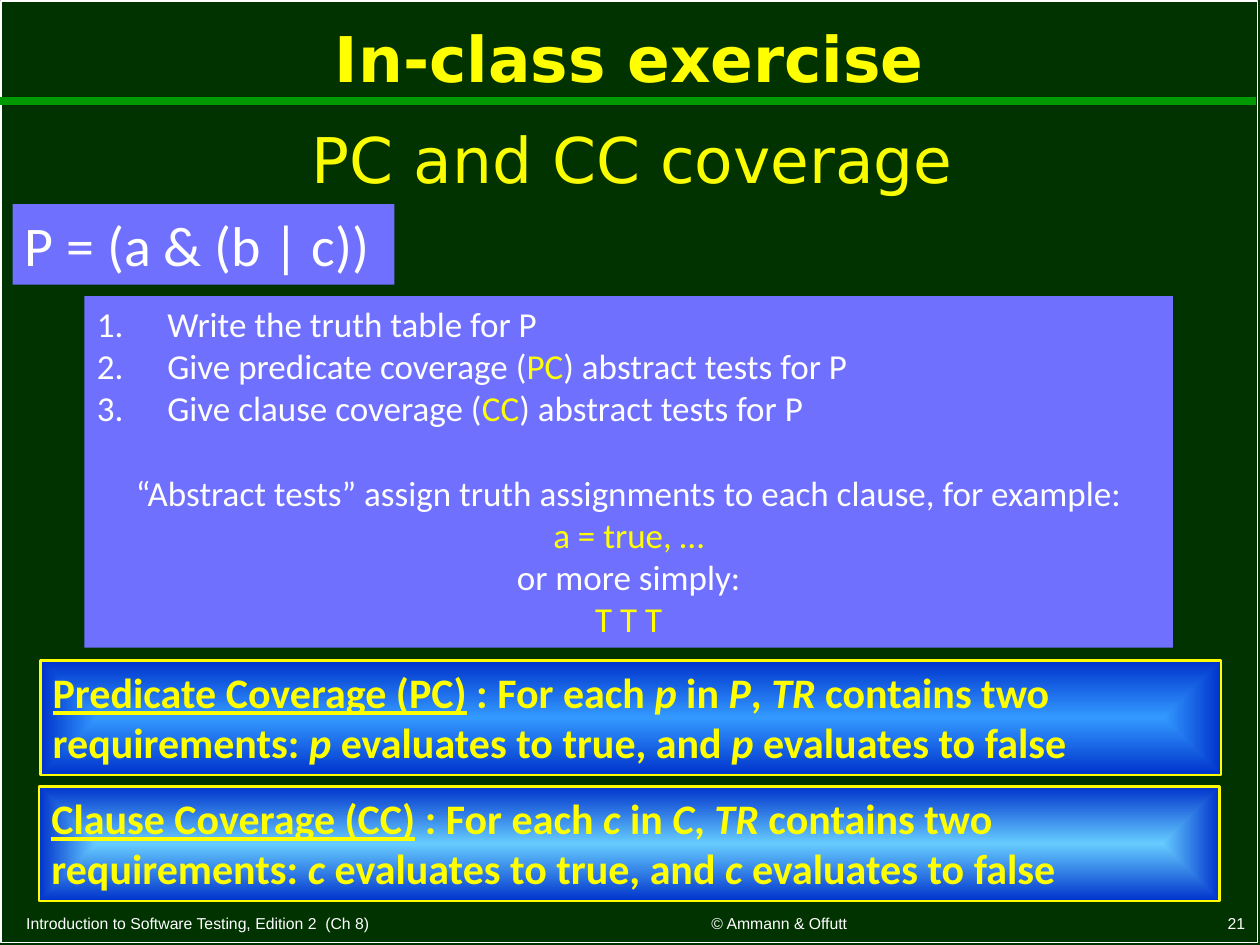
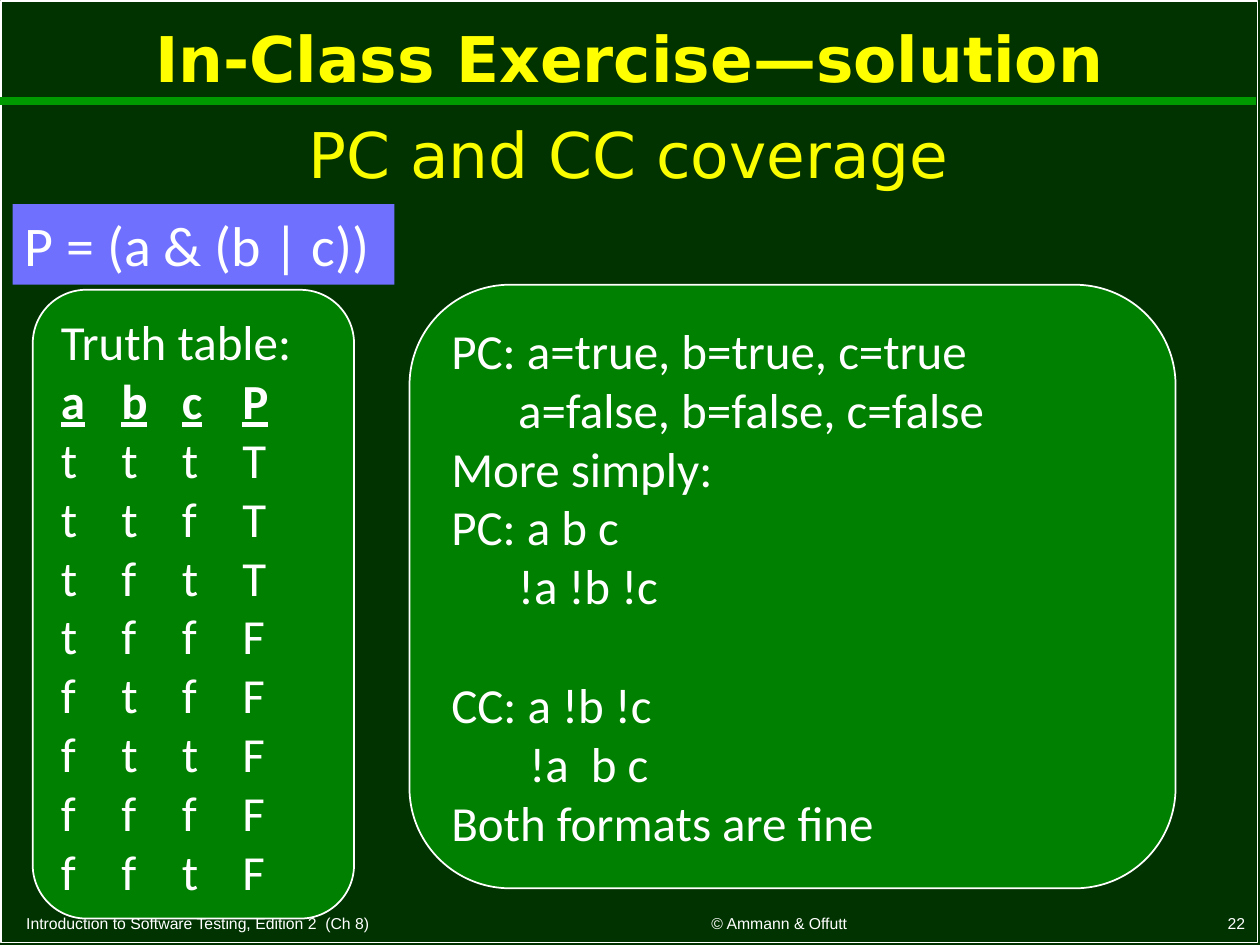
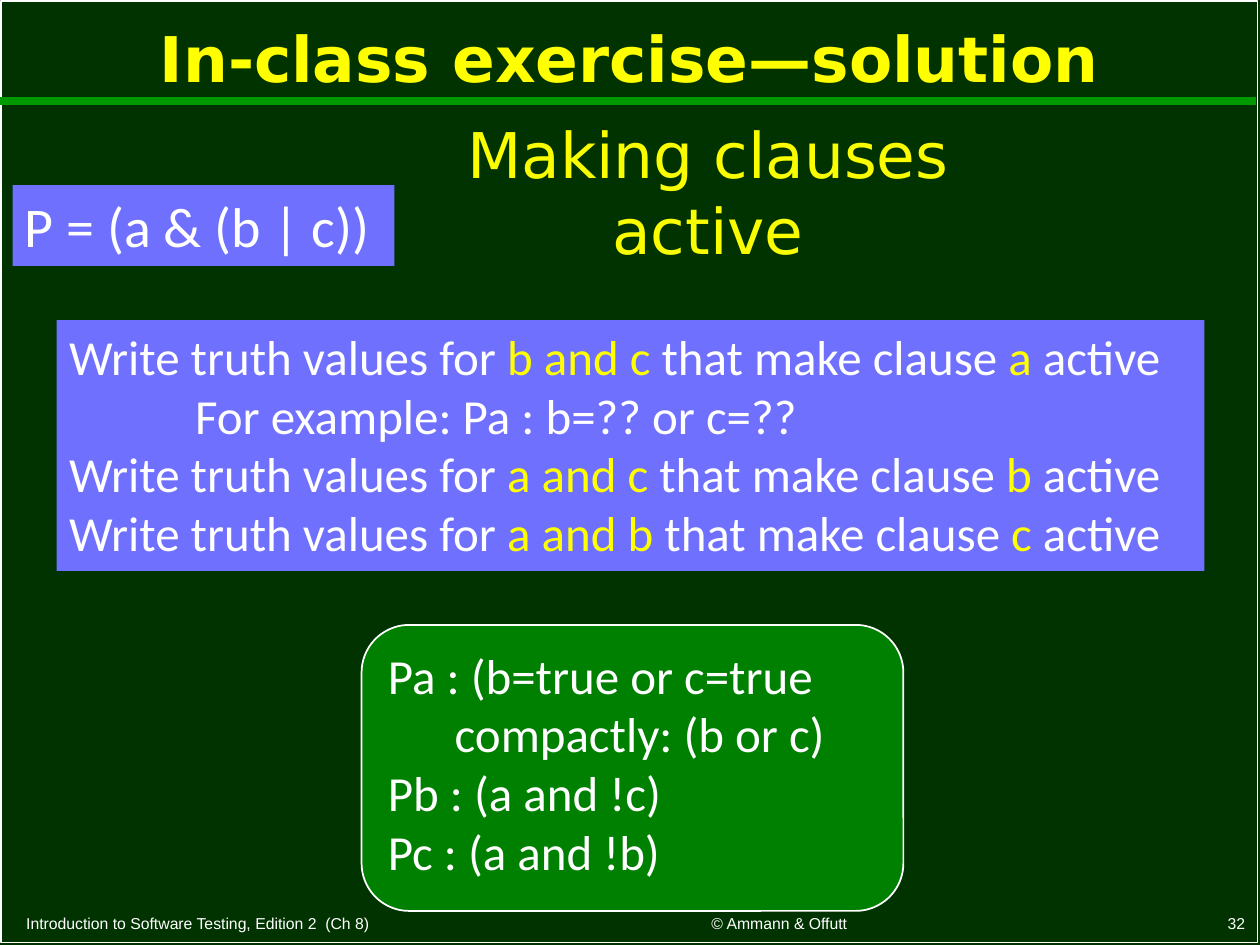
from dataclasses import dataclass

from lxml.etree import SubElement
from pptx import Presentation
from pptx.dml.color import RGBColor
from pptx.enum.shapes import MSO_CONNECTOR, MSO_SHAPE
from pptx.enum.text import MSO_ANCHOR, PP_ALIGN
from pptx.oxml import parse_xml
from pptx.oxml.ns import nsdecls, qn
from pptx.util import Inches, Pt

COLUMNS, ROWS = 100, 75
WIDTH, HEIGHT = Inches(10), Inches(7.5)

DARK_GREEN, RULE_GREEN, PANEL_GREEN = "003300", "009900", "008000"
WHITE, YELLOW, HEADING_YELLOW = "FFFFFF", "FFFF00", "FAFD00"
VIOLET, EDGE_BLUE, MID_BLUE, SKY_BLUE = "7070FF", "0033CC", "3399FF", "66CCFF"
TITLE_FONT, BODY_FONT, FOOTER_FONT = "DejaVu Sans", "Calibri", "Arial"

TITLE_BOX = (1, 0.5, 97.9, 8.8)
FOOTER_TOP, FOOTER_HEIGHT = 71.9, 2.6
TAB_STEP = 0.48
PANEL_INDENT = 0.53


@dataclass
class Line:
    text: str
    align: PP_ALIGN = PP_ALIGN.LEFT
    indent: float = 0
    before: float = 0
    color: str = WHITE
    heading: bool = False
    numbered: bool = False


def rgb(value):
    return RGBColor.from_string(value)


def place(left, top, width, height):
    return (
        int(WIDTH * left / COLUMNS),
        int(HEIGHT * top / ROWS),
        int(WIDTH * width / COLUMNS),
        int(HEIGHT * height / ROWS),
    )


def add_span(para, text, size, color, font=BODY_FONT, bold=False, italic=False, underline=False):
    span = para.add_run()
    span.text = text
    span.font.size = Pt(size)
    span.font.name = font
    span.font.color.rgb = rgb(color)
    span.font.bold = bold
    span.font.italic = italic
    span.font.underline = underline


def add_label(page, box, text, size, color, font, align=PP_ALIGN.LEFT,
              anchor=MSO_ANCHOR.TOP, bold=False, wrap=True):
    frame = page.shapes.add_textbox(*place(*box)).text_frame
    frame.word_wrap = wrap
    frame.vertical_anchor = anchor
    para = frame.paragraphs[0]
    para.alignment = align
    add_span(para, text, size, color, font, bold)
    return para


def add_block(page, box, kind=MSO_SHAPE.RECTANGLE, fill=None, line=None, weight=1):
    block = page.shapes.add_shape(kind, *place(*box))
    block.shadow.inherit = False
    if fill:
        block.fill.solid()
        block.fill.fore_color.rgb = rgb(fill)
    else:
        block.fill.background()
    if line:
        block.line.color.rgb = rgb(line)
        block.line.width = Pt(weight)
    else:
        block.line.fill.background()
    block.text_frame.word_wrap = True
    block.text_frame.vertical_anchor = MSO_ANCHOR.TOP
    return block


def paragraphs(frame, count):
    return [frame.paragraphs[0]] + [frame.add_paragraph() for _ in range(count - 1)]


def set_indent(para, line):
    properties = para._p.get_or_add_pPr()
    properties.set("marL", str(Inches(line.indent)))
    if line.numbered:
        properties.set("indent", str(-Inches(line.indent)))
        SubElement(properties, qn("a:buAutoNum"), type="arabicPeriod")


def set_tabs(para, count):
    stops = SubElement(para._p.get_or_add_pPr(), qn("a:tabLst"))
    for number in range(1, count + 1):
        SubElement(stops, qn("a:tab"), pos=str(Inches(number * TAB_STEP)), algn="l")


def write_lines(frame, lines, size):
    for para, line in zip(paragraphs(frame, len(lines)), lines):
        para.alignment = line.align
        if line.before:
            para.space_before = Pt(line.before)
        if line.indent:
            set_indent(para, line)
        if "\t" in line.text:
            set_tabs(para, line.text.count("\t"))
        for position, piece in enumerate(line.text.split("*")):
            color = YELLOW if position % 2 else line.color
            add_span(para, piece, size, color, bold=line.heading, underline=line.heading)


def question_block(page, box, lines, size):
    write_lines(add_block(page, box, fill=VIOLET).text_frame, lines, size)


def answer_panel(page, box, lines):
    panel = add_block(page, box, MSO_SHAPE.ROUNDED_RECTANGLE, PANEL_GREEN, WHITE)
    write_lines(panel.text_frame, lines, 28)


def predicate_block(page, top):
    question_block(page, (1, top, 30.3, 6.4), [Line("P = (a & (b | c))")], 32)


def criterion_block(page, box, name, symbol, glow):
    block = add_block(page, box, fill=EDGE_BLUE, line=YELLOW, weight=1.5)
    solid = block._element.spPr.find(qn("a:solidFill"))
    gradient = parse_xml(
        f'<a:gradFill {nsdecls("a")}><a:gsLst>'
        f'<a:gs pos="0"><a:srgbClr val="{glow}"/></a:gs>'
        f'<a:gs pos="100000"><a:srgbClr val="{EDGE_BLUE}"/></a:gs></a:gsLst>'
        '<a:path path="rect"><a:fillToRect l="50000" t="50000" r="50000" b="50000"/></a:path>'
        '</a:gradFill>'
    )
    solid.getparent().replace(solid, gradient)
    para = block.text_frame.paragraphs[0]
    para.alignment = PP_ALIGN.LEFT
    add_span(para, name, 24, YELLOW, bold=True, underline=True)
    rule = (f" : For each *{symbol}* in *{symbol.upper()}*, *TR* contains two requirements: "
            f"*{symbol}* evaluates to true, and *{symbol}* evaluates to false")
    for position, piece in enumerate(rule.split("*")):
        add_span(para, piece, 24, YELLOW, bold=True, italic=position % 2 == 1)


def add_footer(page, number):
    parts = [
        (1.1, 42.7, "Introduction to Software Testing, Edition 2  (Ch 8)", PP_ALIGN.LEFT),
        (46, 31.7, "© Ammann & Offutt", PP_ALIGN.CENTER),
        (79, 20.8, str(number), PP_ALIGN.RIGHT),
    ]
    for left, width, text, align in parts:
        add_label(page, (left, FOOTER_TOP, width, FOOTER_HEIGHT), text, 9, WHITE,
                  FOOTER_FONT, align, MSO_ANCHOR.BOTTOM)


def add_page(deck, title, number, heading, heading_box):
    page = deck.slides.add_slide(deck.slide_layouts[6])
    page.background.fill.solid()
    page.background.fill.fore_color.rgb = rgb(DARK_GREEN)
    add_block(page, (0.1, 0.1, 99.7, 74.7), line=WHITE)
    left, top, width, _ = place(0, 8, 99.7, 0)
    rule = page.shapes.add_connector(MSO_CONNECTOR.STRAIGHT, left, top, left + width, top)
    rule.line.color.rgb = rgb(RULE_GREEN)
    rule.line.width = Pt(4.5)
    SubElement(rule._element.spPr, qn("a:effectLst"))
    para = add_label(page, TITLE_BOX, title, 36, YELLOW, TITLE_FONT, PP_ALIGN.CENTER,
                     MSO_ANCHOR.MIDDLE, bold=True)
    para.line_spacing = 0.9
    add_footer(page, number)
    add_label(page, heading_box, heading, 36, HEADING_YELLOW, TITLE_FONT,
              PP_ALIGN.CENTER, wrap=False)
    return page


def exercise_page(deck):
    page = add_page(deck, "In-class exercise", 21, "PC and CC coverage", (23.6, 9.1, 53.2, 7.1))
    tasks = [
        "Write the truth table for P",
        "Give predicate coverage (*PC*) abstract tests for P",
        "Give clause coverage (*CC*) abstract tests for P",
    ]
    center = PP_ALIGN.CENTER
    lines = [Line(task, indent=0.56, numbered=True) for task in tasks] + [
        Line("“Abstract tests” assign truth assignments to each clause, for example:",
             center, before=24.4),
        Line("a = true, …", center, color=YELLOW),
        Line("or more simply:", center),
        Line("T T T", center, color=YELLOW),
    ]
    question_block(page, (6.7, 23.5, 86.4, 27.9), lines, 20)
    predicate_block(page, 16.2)
    criterion_block(page, (3.2, 52.4, 93.7, 9.1), "Predicate Coverage (PC)", "p", MID_BLUE)
    criterion_block(page, (3.1, 62.4, 93.7, 9.1), "Clause Coverage (CC)", "c", SKY_BLUE)


def coverage_solution_page(deck):
    page = add_page(deck, "In-Class Exercise—solution", 22, "PC and CC coverage",
                    (23.3, 8.7, 53.2, 7.1))
    predicate_block(page, 16.2)
    answer_panel(page, (32.5, 22.6, 60.8, 47.9), [
        Line("PC: a=true, b=true, c=true"),
        Line("a=false, b=false, c=false", indent=PANEL_INDENT),
        Line("More simply:"),
        Line("PC: a b c"),
        Line("!a !b !c", indent=PANEL_INDENT),
        Line("CC: a !b !c", before=34.2),
        Line("!a  b c", indent=0.62),
        Line("Both formats are fine"),
    ])
    rows = ["tttT", "ttfT", "tftT", "tffF", "ftfF", "fttF", "fffF", "fftF"]
    answer_panel(page, (2.6, 23, 25.5, 49.9), [
        Line("Truth table:"),
        Line("\t".join("abcP"), heading=True),
        *[Line("\t".join(row)) for row in rows],
    ])


def active_clauses_page(deck):
    page = add_page(deck, "In-class exercise—solution", 32, "Making clauses active",
                    (27.7, 8.7, 57, 7.1))
    lines = [
        Line(f"Write truth values for *{others}* that make clause *{clause}* active")
        for others, clause in [("b and c", "a"), ("a and c", "b"), ("a and b", "c")]
    ]
    lines.insert(1, Line("For example: Pa : b=?? or c=??", indent=1))
    question_block(page, (4.5, 25.4, 91.1, 19.9), lines, 28)
    predicate_block(page, 14.7)
    answer_panel(page, (28.7, 49.6, 43, 22.7), [
        Line("Pa : (b=true or c=true"),
        Line("compactly: (b or c)", indent=PANEL_INDENT),
        Line("Pb : (a and !c)"),
        Line("Pc : (a and !b)"),
    ])


def main():
    deck = Presentation()
    deck.slide_width, deck.slide_height = WIDTH, HEIGHT
    exercise_page(deck)
    coverage_solution_page(deck)
    active_clauses_page(deck)
    deck.save("out.pptx")


if __name__ == "__main__":
    main()
